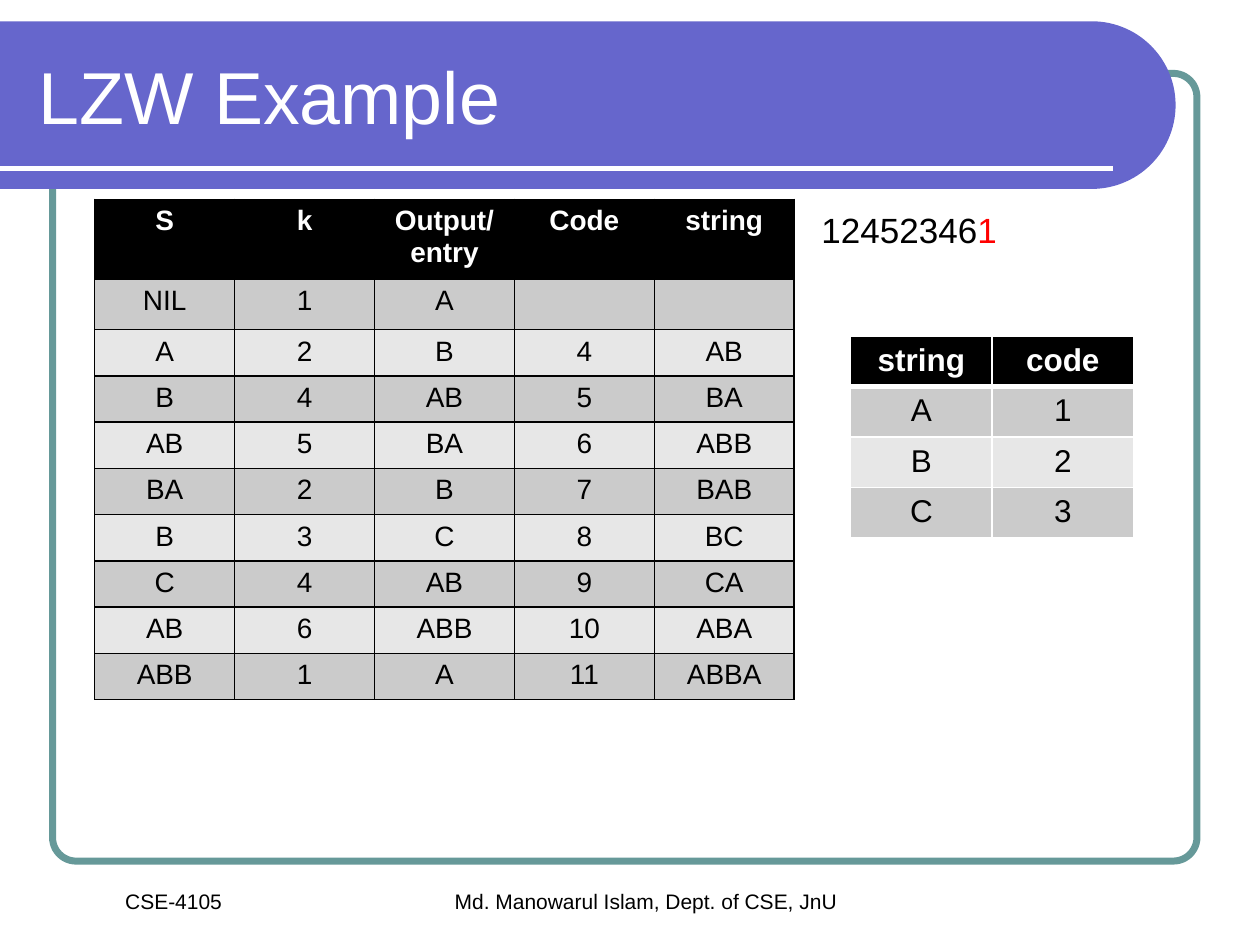
"""Build the LZW decoding example slide."""
import math
from dataclasses import dataclass

import lxml.etree
import pptx
import pptx.dml.color
import pptx.enum.shapes
import pptx.enum.text
import pptx.oxml.ns
import pptx.util

Cm = pptx.util.Cm
Pt = pptx.util.Pt
ALIGN = pptx.enum.text.PP_ALIGN


@dataclass(frozen=True)
class Theme:
    font: str = "Arial"
    black: str = "000000"
    white: str = "FFFFFF"
    red: str = "FF0000"
    band: str = "6666CC"
    frame: str = "669999"
    stripes: tuple = ("CBCBCB", "E7E7E7")
    title_size: int = 42
    stream_size: int = 20
    footer_size: int = 12


@dataclass(frozen=True)
class TextSpec:
    left: float
    top: float
    width: float
    height: float
    pieces: tuple
    size: int
    align: ALIGN = ALIGN.LEFT
    anchor: pptx.enum.text.MSO_ANCHOR = pptx.enum.text.MSO_ANCHOR.TOP
    hanging: float = 0
    line_spacing: float = 1.0


@dataclass(frozen=True)
class TableSpec:
    left: float
    top: float
    column_width: float
    header_height: float
    row_height: float
    size: int
    border: str
    header_rule: float
    rows: tuple


THEME = Theme()
TEXTS = (
    TextSpec(4.45, 17.78, 17.15, 1.55, (("Md. Manowarul Islam, Dept. of CSE, JnU", THEME.black),),
             THEME.footer_size, ALIGN.CENTER),
    TextSpec(0.64, 17.78, 5.72, 0.76, (("CSE-4105", THEME.black),), THEME.footer_size, ALIGN.CENTER),
    TextSpec(0.53, 0.64, 22.28, 2.54, (("LZW Example", THEME.white),), THEME.title_size,
             anchor=pptx.enum.text.MSO_ANCHOR.MIDDLE),
    TextSpec(16.31, 4.24, 10.36, 1.27, (("12452346", THEME.black), ("1", THEME.red)),
             THEME.stream_size, hanging=0.97, line_spacing=0.8),
)
TABLES = (
    TableSpec(1.91, 4.02, 2.82, 1.61, 0.93, 16, THEME.black, 1, (
        ("S", "k", "Output/entry", "Code", "string"),
        ("NIL", "1", "A", "", ""),
        ("A", "2", "B", "4", "AB"),
        ("B", "4", "AB", "5", "BA"),
        ("AB", "5", "BA", "6", "ABB"),
        ("BA", "2", "B", "7", "BAB"),
        ("B", "3", "C", "8", "BC"),
        ("C", "4", "AB", "9", "CA"),
        ("AB", "6", "ABB", "10", "ABA"),
        ("ABB", "1", "A", "11", "ABBA"),
    )),
    TableSpec(17.15, 6.78, 2.85, 1.01, 1.01, 18, THEME.white, 3, (
        ("string", "code"), ("A", "1"), ("B", "2"), ("C", "3"),
    )),
)


def rgb(color: str) -> pptx.dml.color.RGBColor:
    """Turn a hex string into a colour."""
    return pptx.dml.color.RGBColor.from_string(color)


def style_font(font, size: int, color: str, bold: bool = False) -> None:
    """Apply the theme font with a size, colour and weight."""
    font.name, font.size, font.bold = THEME.font, Pt(size), bold
    font.color.rgb = rgb(color)


def draw_frame(page) -> None:
    """Draw the rounded outline behind the content."""
    frame = page.shapes.add_shape(pptx.enum.shapes.MSO_SHAPE.ROUNDED_RECTANGLE,
                                  Cm(1.06), Cm(1.48), Cm(23.07), Cm(15.88))
    frame.adjustments[0] = 0.03
    frame.shadow.inherit = False
    frame.fill.background()
    frame.line.color.rgb = rgb(THEME.frame)
    frame.line.width = Pt(4)


def draw_band(page) -> None:
    """Draw the title band with its half-round right end."""
    center_x, center_y, radius, steps = 22.01, 2.12, 1.69, 60
    angles = [math.pi * (step / steps - 0.5) for step in range(steps + 1)]
    arc = [(Cm(center_x + radius * math.cos(angle)), Cm(center_y + radius * math.sin(angle)))
           for angle in angles]
    builder = page.shapes.build_freeform(0, Cm(center_y - radius))
    builder.add_line_segments(arc + [(0, Cm(center_y + radius))], close=True)
    band = builder.convert_to_shape()
    band.shadow.inherit = False
    band.fill.solid()
    band.fill.fore_color.rgb = rgb(THEME.band)
    band.line.fill.background()


def draw_title_rule(page) -> None:
    """Draw the white rule under the title."""
    rule = page.shapes.add_connector(pptx.enum.shapes.MSO_CONNECTOR.STRAIGHT,
                                     0, Cm(3.39), Cm(22.44), Cm(3.39))
    rule.line.color.rgb = rgb(THEME.white)
    rule.line.width = Pt(3)
    lxml.etree.SubElement(rule._element.spPr, pptx.oxml.ns.qn("a:effectLst"))


def draw_text(page, spec: TextSpec) -> None:
    """Draw one text box made of coloured pieces."""
    box = page.shapes.add_textbox(Cm(spec.left), Cm(spec.top), Cm(spec.width), Cm(spec.height))
    box.text_frame.word_wrap = True
    box.text_frame.vertical_anchor = spec.anchor
    para = box.text_frame.paragraphs[0]
    para.alignment, para.line_spacing = spec.align, spec.line_spacing
    if spec.hanging:
        properties = para._p.get_or_add_pPr()
        properties.set("marL", str(Cm(spec.hanging)))
        properties.set("indent", str(-Cm(spec.hanging)))
    for words, color in spec.pieces:
        span = para.add_run()
        span.text = words
        style_font(span.font, spec.size, color)


def set_borders(cell, color: str, widths: dict[str, float]) -> None:
    """Set the cell borders, with widths in points by side."""
    properties = cell._tc.get_or_add_tcPr()
    for side in ("L", "R", "T", "B"):
        line = lxml.etree.SubElement(properties, pptx.oxml.ns.qn(f"a:ln{side}"),
                                     w=str(Pt(widths.get(side, 1))))
        fill = lxml.etree.SubElement(line, pptx.oxml.ns.qn("a:solidFill"))
        lxml.etree.SubElement(fill, pptx.oxml.ns.qn("a:srgbClr"), val=color)


def draw_table(page, spec: TableSpec) -> None:
    """Draw a table with a black header and striped rows."""
    row_count, column_count = len(spec.rows), len(spec.rows[0])
    height = spec.header_height + spec.row_height * (row_count - 1)
    table = page.shapes.add_table(row_count, column_count, Cm(spec.left), Cm(spec.top),
                                  Cm(spec.column_width * column_count), Cm(height)).table
    table.horz_banding = False
    for column in table.columns:
        column.width = Cm(spec.column_width)
    for row_index, values in enumerate(spec.rows):
        header = row_index == 0
        table.rows[row_index].height = Cm(spec.header_height if header else spec.row_height)
        fill = THEME.black if header else THEME.stripes[(row_index - 1) % 2]
        widths = {0: {"B": spec.header_rule}, 1: {"T": spec.header_rule}}.get(row_index, {})
        for column_index, value in enumerate(values):
            cell = table.cell(row_index, column_index)
            set_borders(cell, spec.border, widths)
            cell.fill.solid()
            cell.fill.fore_color.rgb = rgb(fill)
            cell.text_frame.text = value
            para = cell.text_frame.paragraphs[0]
            para.alignment = ALIGN.CENTER
            for span in para.runs:
                style_font(span.font, spec.size, THEME.white if header else THEME.black, header)


def main() -> None:
    """Assemble and save the deck."""
    deck = pptx.Presentation()
    deck.slide_width, deck.slide_height = Cm(25.4), Cm(19.05)
    page = deck.slides.add_slide(deck.slide_layouts[6])
    draw_frame(page)
    draw_band(page)
    draw_title_rule(page)
    for text in TEXTS:
        draw_text(page, text)
    for table in TABLES:
        draw_table(page, table)
    deck.save("out.pptx")


if __name__ == "__main__":
    main()
